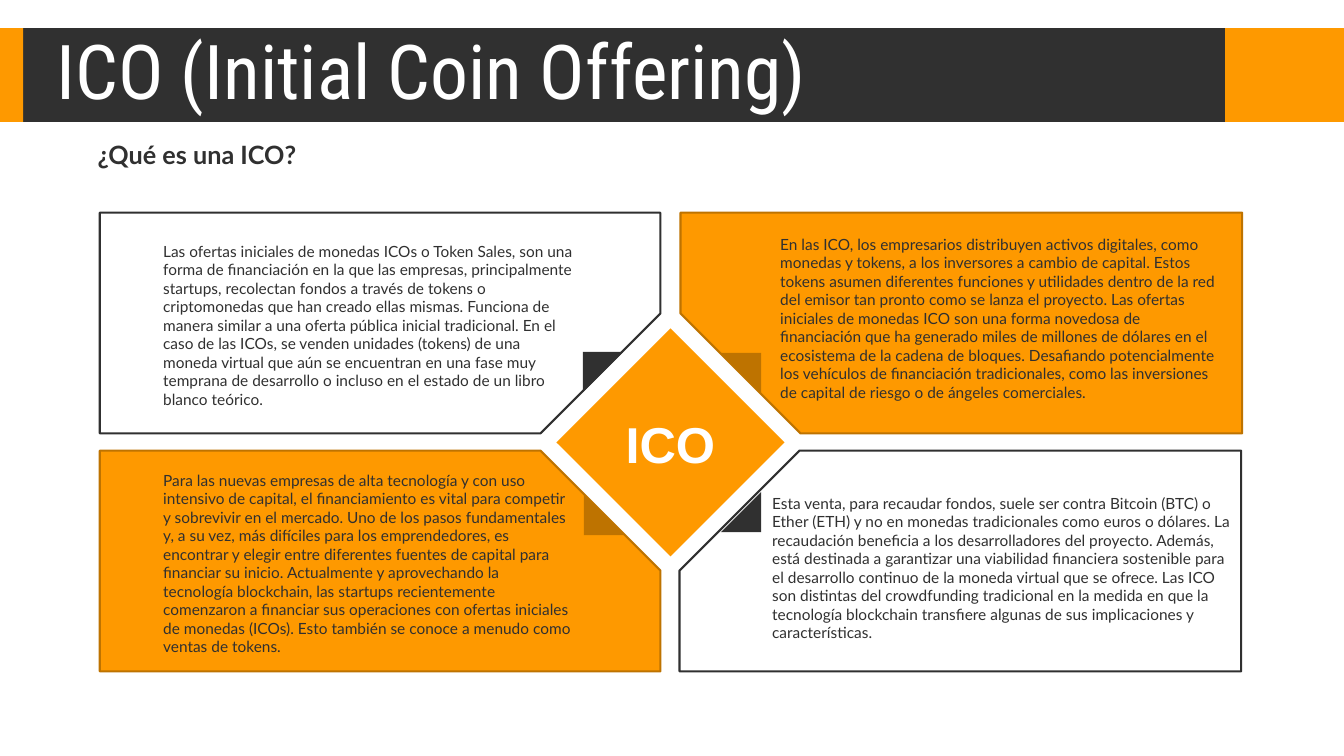
from dataclasses import dataclass
from pptx import Presentation
from pptx.dml.color import RGBColor
from pptx.enum.shapes import MSO_SHAPE
from pptx.enum.text import MSO_ANCHOR, MSO_AUTO_SIZE, PP_ALIGN
from pptx.util import Inches, Pt


@dataclass(frozen=True)
class Theme:
    orange: str = "FE9900"
    brown: str = "BE7300"
    dark: str = "303030"
    white: str = "FFFFFF"
    title_font: str = "Roboto Condensed"
    body_font: str = "Lato"
    badge_font: str = "Arial"
    title_size: int = 54
    badge_size: int = 36
    heading_size: int = 18
    body_size: int = 11
    outline: float = 1.5


THEME = Theme()

TITLE = "ICO (Initial Coin Offering)"
HEADING = "¿Qué es una ICO?"
BADGE = "ICO"

BANNER = [(12.15, 1.18, THEME.orange), (0, 12.15, THEME.dark), (0, 0.23, THEME.orange)]

PANELS = [
    dict(
        outer=(0.99, 2.11), inner=(6.55, 4.3), fill=None, accent=THEME.dark,
        triangle=(5.78, 3.49, 90), text_box=(1.52, 2.35, 4.27, 1.75),
        text="Las ofertas iniciales de monedas ICOs o Token Sales, son una forma de financiación en la que las empresas, principalmente startups, recolectan fondos a través de tokens o criptomonedas que han creado ellas mismas. Funciona de manera similar a una oferta pública inicial tradicional. En el caso de las ICOs, se venden unidades (tokens) de una moneda virtual que aún se encuentran en una fase muy temprana de desarrollo o incluso en el estado de un libro blanco teórico.",
    ),
    dict(
        outer=(12.32, 2.11), inner=(6.75, 4.3), fill=THEME.orange, accent=THEME.brown,
        triangle=(7.15, 3.5, 180), text_box=(7.64, 2.28, 4.58, 1.75),
        text="En las ICO, los empresarios distribuyen activos digitales, como monedas y tokens, a los inversores a cambio de capital. Estos tokens asumen diferentes funciones y utilidades dentro de la red del emisor tan pronto como se lanza el proyecto. Las ofertas iniciales de monedas ICO son una forma novedosa de financiación que ha generado miles de millones de dólares en el ecosistema de la cadena de bloques. Desafiando potencialmente los vehículos de financiación tradicionales, como las inversiones de capital de riesgo o de ángeles comerciales.",
    ),
    dict(
        outer=(0.99, 6.66), inner=(6.55, 4.47), fill=THEME.orange, accent=THEME.brown,
        triangle=(5.79, 4.91, 0), text_box=(1.52, 4.62, 4.26, 1.95),
        text="Para las nuevas empresas de alta tecnología y con uso intensivo de capital, el financiamiento es vital para competir y sobrevivir en el mercado. Uno de los pasos fundamentales y, a su vez, más difíciles para los emprendedores, es encontrar y elegir entre diferentes fuentes de capital para financiar su inicio. Actualmente y aprovechando la tecnología blockchain, las startups recientemente comenzaron a financiar sus operaciones con ofertas iniciales de monedas (ICOs). Esto también se conoce a menudo como ventas de tokens.",
    ),
    dict(
        outer=(12.31, 6.66), inner=(6.74, 4.47), fill=None, accent=THEME.dark,
        triangle=(7.15, 4.88, 270), text_box=(7.56, 4.85, 4.79, 1.6),
        text="Esta venta, para recaudar fondos, suele ser contra Bitcoin (BTC) o Ether (ETH) y no en monedas tradicionales como euros o dólares. La recaudación beneficia a los desarrolladores del proyecto. Además, está destinada a garantizar una viabilidad financiera sostenible para el desarrollo continuo de la moneda virtual que se ofrece. Las ICO son distintas del crowdfunding tradicional en la medida en que la tecnología blockchain transfiere algunas de sus implicaciones y características.",
    ),
]

CUT = 1.19
TRIANGLE_SIDE = 0.4


def write_text(shape, text, *, size, font=THEME.body_font, color=THEME.dark, bold=False,
               align=PP_ALIGN.LEFT, anchor=MSO_ANCHOR.TOP, line_spacing=1.0):
    frame = shape.text_frame
    frame.auto_size = MSO_AUTO_SIZE.NONE
    frame.word_wrap = True
    frame.vertical_anchor = anchor
    paragraph = frame.paragraphs[0]
    paragraph.text = text
    paragraph.alignment = align
    paragraph.line_spacing = line_spacing
    run_font = paragraph.runs[0].font
    run_font.name = font
    run_font.size = Pt(size)
    run_font.bold = bold
    run_font.color.rgb = RGBColor.from_string(color)


def paint(shape, fill, line=None):
    shape.shadow.inherit = False
    if fill:
        shape.fill.solid()
        shape.fill.fore_color.rgb = RGBColor.from_string(fill)
    else:
        shape.fill.background()
    if line:
        shape.line.color.rgb = RGBColor.from_string(line)
        shape.line.width = Pt(THEME.outline)
    else:
        shape.line.fill.background()


def add_block(slide, kind, box, fill, rotation=0):
    shape = slide.shapes.add_shape(kind, *map(Inches, box))
    shape.rotation = rotation
    paint(shape, fill)


def add_text(slide, box, text, **text_format):
    write_text(slide.shapes.add_textbox(*map(Inches, box)), text, **text_format)


def add_panel(slide, panel):
    outer_x, outer_y = panel["outer"]
    inner_x, inner_y = panel["inner"]
    cut_x = inner_x - CUT if inner_x > outer_x else inner_x + CUT
    cut_y = inner_y - CUT if inner_y > outer_y else inner_y + CUT
    corners = [(outer_x, outer_y), (inner_x, outer_y), (inner_x, cut_y),
               (cut_x, inner_y), (outer_x, inner_y)]
    points = [(Inches(x), Inches(y)) for x, y in corners]
    builder = slide.shapes.build_freeform(*points[0])
    builder.add_line_segments(points[1:], close=True)
    paint(builder.convert_to_shape(), panel["fill"], panel["accent"])


def main():
    presentation = Presentation()
    presentation.slide_width = Inches(13.33)
    presentation.slide_height = Inches(7.5)
    slide = presentation.slides.add_slide(presentation.slide_layouts[5])

    for left, width, color in BANNER:
        add_block(slide, MSO_SHAPE.RECTANGLE, (left, 0.28, width, 0.93), color)

    title = slide.shapes.title
    title.left, title.top, title.width, title.height = map(Inches, (0.46, 0.35, 9.7, 0.79))
    write_text(title, TITLE, size=THEME.title_size, font=THEME.title_font,
               color=THEME.white, anchor=MSO_ANCHOR.MIDDLE, line_spacing=0.9)
    title.element.getparent().append(title.element)

    for panel in PANELS:
        add_panel(slide, panel)
    add_block(slide, MSO_SHAPE.RECTANGLE, (5.85, 3.59, 1.6, 1.6), THEME.orange, 45)
    for panel in PANELS:
        left, top, rotation = panel["triangle"]
        add_block(slide, MSO_SHAPE.RIGHT_TRIANGLE,
                  (left, top, TRIANGLE_SIDE, TRIANGLE_SIDE), panel["accent"], rotation)
    for panel in PANELS:
        add_text(slide, panel["text_box"], panel["text"], size=THEME.body_size)

    add_text(slide, (5.52, 4.04, 2.26, 0.71), BADGE, size=THEME.badge_size,
             font=THEME.badge_font, color=THEME.white, bold=True,
             align=PP_ALIGN.CENTER, anchor=MSO_ANCHOR.MIDDLE)
    add_text(slide, (0.87, 1.33, 11.38, 0.71), HEADING, size=THEME.heading_size, bold=True)
    presentation.save("out.pptx")


if __name__ == "__main__":
    main()
